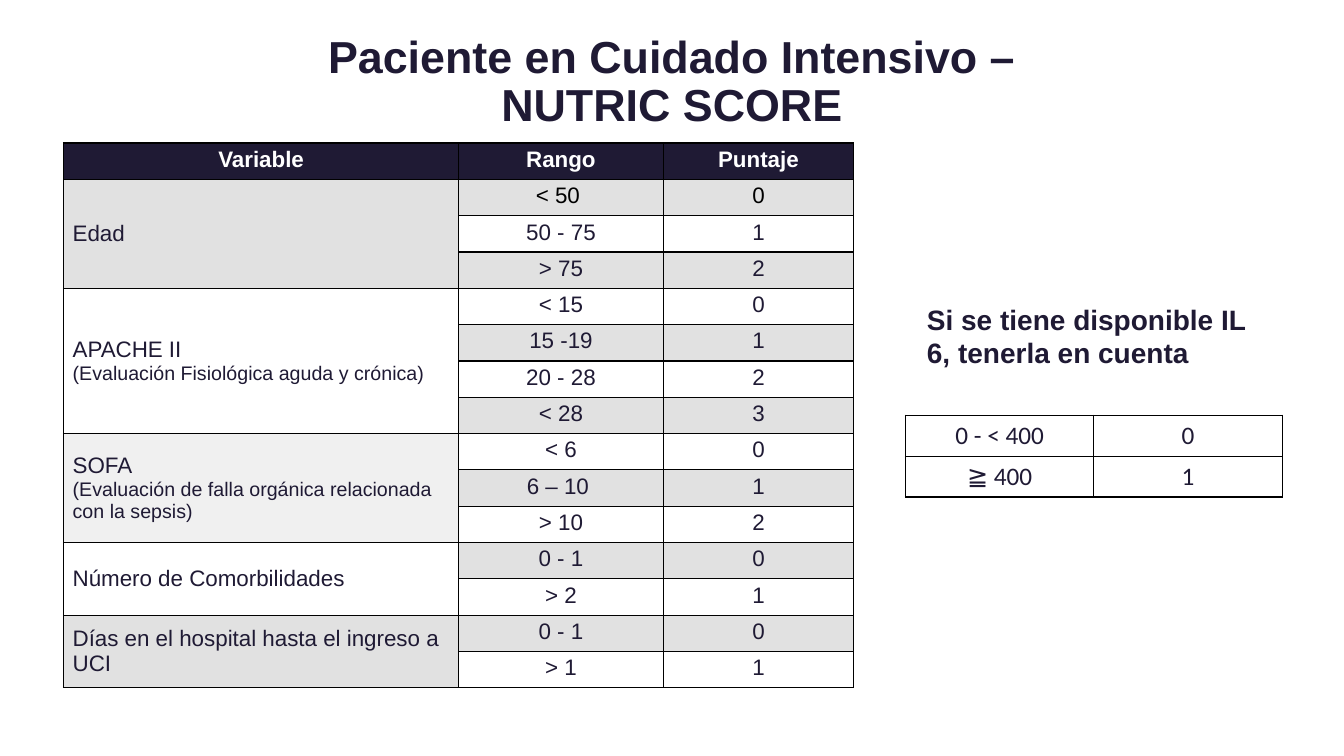
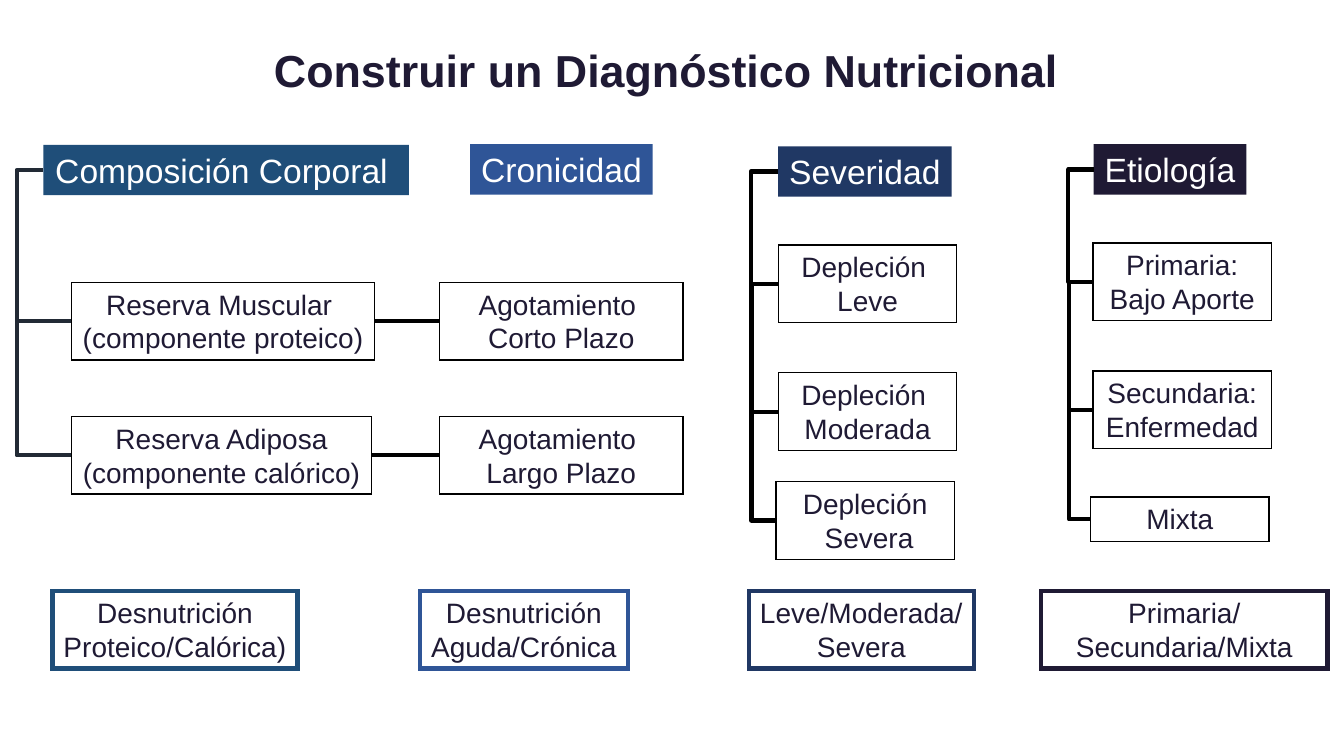
"""Build two slides on nutritional risk scoring and diagnosis."""
import pptx
import pptx.dml.color
import pptx.enum.shapes
import pptx.enum.text
import pptx.oxml
import pptx.oxml.ns
import pptx.util

Pt = pptx.util.Pt
qn = pptx.oxml.ns.qn
NAMESPACE = pptx.oxml.ns.nsdecls("a")
CONNECTOR = pptx.enum.shapes.MSO_CONNECTOR
CENTER = pptx.enum.text.PP_ALIGN.CENTER
LEFT = pptx.enum.text.PP_ALIGN.LEFT
MIDDLE = pptx.enum.text.MSO_ANCHOR.MIDDLE
TOP = pptx.enum.text.MSO_ANCHOR.TOP

NAVY, BLACK, WHITE = "1F1A34", "000000", "FFFFFF"
GREY, PALE, SLATE = "E1E1E1", "F0F0F0", "222A35"
TEAL, BLUE, INDIGO = "1F4E79", "2F5597", "203864"
LEFT_SIDE, RIGHT_SIDE = 1, 3

SCORE_GROUPS = [
    (["Edad"], GREY, [("< 50 ", "0"), ("50 - 75", "1"), ("> 75", "2")]),
    (["APACHE II", "(Evaluación Fisiológica aguda y crónica)"], WHITE,
     [("< 15", "0"), ("15 -19", "1"), ("20 - 28", "2"), ("< 28", "3")]),
    (["SOFA", "(Evaluación de falla orgánica relacionada con la sepsis)"], PALE,
     [("< 6", "0"), ("6 – 10 ", "1"), ("> 10", "2")]),
    (["Número de Comorbilidades"], WHITE, [("0 - 1", "0"), ("> 2", "1")]),
    (["Días en el hospital hasta el ingreso a UCI"], GREY,
     [("0 - 1", "0"), ("> 1", "1")]),
]
INTERLEUKIN_ROWS = [("0 - < 400", "0"), ("≧ 400", "1")]

HEADER_HEIGHT, NODE_HEIGHT, RESULT_TOP = 36, 55.5, 422
DIAGNOSIS = [
    {"header": ("Composición Corporal ", 31, 103.5, 261), "colour": TEAL,
     "trunk": (12, SLATE),
     "nodes": [(["Reserva Muscular ", "(componente proteico)"], 51, 201.75, 216.75),
               (["Reserva Adiposa", "(componente calórico)"], 51, 297.5, 214.5)],
     "result": (["Desnutrición", "Proteico/Calórica)"], 37.5, 175)},
    {"header": ("Cronicidad", 335.75, 103, 130.5), "colour": BLUE, "trunk": None,
     "nodes": [(["Agotamiento ", "Corto Plazo"], 314, 201.75, 174),
               (["Agotamiento ", "Largo Plazo"], 314, 297.5, 174)],
     "result": (["Desnutrición", "Aguda/Crónica"], 300, 148.5)},
    {"header": ("Severidad", 555.75, 104.5, 124), "colour": INDIGO,
     "trunk": (536.75, BLACK),
     "nodes": [(["Depleción ", "Leve"], 556, 175, 127.5),
               (["Depleción ", "Moderada"], 556, 266.25, 127.5),
               (["Depleción", " Severa"], 554.25, 344, 127.5)],
     "result": (["Leve/Moderada/", "Severa"], 535, 160.5)},
    {"header": ("Etiología", 781.25, 103, 109), "colour": NAVY,
     "trunk": (763.5, BLACK),
     "nodes": [(["Primaria: Bajo Aporte"], 780.75, 173.5, 127.5),
               (["Secundaria: Enfermedad"], 780.75, 265, 127.5),
               (["Mixta"], 779, 355, 127.5, 32)],
     "result": (["Primaria/Secundaria/Mixta"], 743.75, 204.5)},
]


def rgb(value):
    """Return the colour for a hex string."""
    return pptx.dml.color.RGBColor.from_string(value)


def add_run(paragraph, text, size, colour=NAVY, bold=False, font="Arial"):
    """Append one formatted run."""
    run = paragraph.add_run()
    run.text = text
    run.font.size = Pt(size)
    run.font.name = font
    run.font.bold = bold
    run.font.color.rgb = rgb(colour)


def write_lines(frame, lines, sizes, align=CENTER, **style):
    """Write one paragraph per line, with its own size."""
    for index, (text, size) in enumerate(zip(lines, sizes)):
        paragraph = frame.add_paragraph() if index else frame.paragraphs[0]
        paragraph.alignment = align
        add_run(paragraph, text, size, **style)


def add_title(slide, lines, left, top, width, height):
    """Add the centred slide title, with line breaks between its lines."""
    frame = slide.shapes.add_textbox(Pt(left), Pt(top), Pt(width), Pt(height)).text_frame
    frame.word_wrap = True
    frame.vertical_anchor = MIDDLE
    paragraph = frame.paragraphs[0]
    paragraph.alignment = CENTER
    paragraph.line_spacing = 0.9
    for index, text in enumerate(lines):
        if index:
            paragraph.add_line_break()
        add_run(paragraph, text, 32, bold=True)


def add_grid(slide, left, top, widths, row_height, row_count):
    """Add an unstyled table and return it."""
    table = slide.shapes.add_table(row_count, len(widths), Pt(left), Pt(top),
                                   Pt(sum(widths)), Pt(row_height * row_count)).table
    table.first_row = table.horz_banding = False
    for column, width in zip(table.columns, widths):
        column.width = Pt(width)
    for row in table.rows:
        row.height = Pt(row_height)
    return table


def style_cell(cell, fill, anchor=TOP, margins=(7.2, 3.6)):
    """Give a cell black borders, a fill, margins and an anchor."""
    properties = cell._tc.get_or_add_tcPr()
    for side in ("lnL", "lnR", "lnT", "lnB"):
        properties.append(pptx.oxml.parse_xml(
            f'<a:{side} {NAMESPACE} w="12700"><a:solidFill>'
            f'<a:srgbClr val="{BLACK}"/></a:solidFill></a:{side}>'))
    cell.fill.solid()
    cell.fill.fore_color.rgb = rgb(fill)
    cell.vertical_anchor = anchor
    cell.margin_left = cell.margin_right = Pt(margins[0])
    cell.margin_top = cell.margin_bottom = Pt(margins[1])


def add_score_table(slide):
    """Add the score table with one merged label per variable."""
    row_count = 1 + sum(len(ranges) for _, _, ranges in SCORE_GROUPS)
    table = add_grid(slide, 45.4, 102.2, (282.2, 146.2, 136), 25.95, row_count)
    margins = (6.5, 3)
    for column, text in enumerate(("Variable", "Rango", "Puntaje")):
        cell = table.cell(0, column)
        style_cell(cell, NAVY, margins=margins)
        write_lines(cell.text_frame, [text], [16], colour=WHITE, bold=True)
    row = 1
    for label, label_fill, ranges in SCORE_GROUPS:
        label_cell = table.cell(row, 0)
        label_cell.merge(table.cell(row + len(ranges) - 1, 0))
        write_lines(label_cell.text_frame, label, (16, 14), align=LEFT)
        for values in ranges:
            style_cell(table.cell(row, 0), label_fill, MIDDLE, margins)
            for column, text in enumerate(values, start=1):
                cell = table.cell(row, column)
                style_cell(cell, GREY if row % 2 else WHITE, margins=margins)
                write_lines(cell.text_frame, [text], [16],
                            colour=BLACK if row == 1 else NAVY)
            row += 1


def add_interleukin_table(slide):
    """Add the small table of interleukin scores."""
    table = add_grid(slide, 646.75, 296.6, (134.6, 134.6), 29.25, len(INTERLEUKIN_ROWS))
    for row, values in enumerate(INTERLEUKIN_ROWS):
        for column, text in enumerate(values):
            cell = table.cell(row, column)
            style_cell(cell, WHITE)
            write_lines(cell.text_frame, [text], [18], font="Calibri")


def add_box(slide, lines, left, top, width, height=NODE_HEIGHT, fill=WHITE,
            border=BLACK, border_width=1, size=20, colour=NAVY, wrap=None):
    """Add a labelled rectangle; a single line wraps unless told otherwise."""
    box = slide.shapes.add_shape(pptx.enum.shapes.MSO_SHAPE.RECTANGLE,
                                 Pt(left), Pt(top), Pt(width), Pt(height))
    box.shadow.inherit = False
    box.fill.solid()
    box.fill.fore_color.rgb = rgb(fill)
    if border:
        box.line.color.rgb = rgb(border)
        box.line.width = Pt(border_width)
        box._element.spPr.find(qn("a:ln")).append(
            pptx.oxml.parse_xml(f'<a:miter {NAMESPACE} lim="800000"/>'))
    else:
        box.line.fill.background()
    frame = box.text_frame
    frame.word_wrap = len(lines) == 1 if wrap is None else wrap
    frame.vertical_anchor = TOP
    write_lines(frame, lines, [size] * len(lines), colour=colour)
    return box


def add_link(slide, kind, start, end, colour=BLACK):
    """Add a thick connector between two points."""
    link = slide.shapes.add_connector(kind, *start, *end)
    link.line.color.rgb = rgb(colour)
    link.line.width = Pt(3)
    link._element.spPr.append(pptx.oxml.parse_xml(f'<a:effectLst {NAMESPACE}/>'))
    return link


def add_header_elbow(slide, trunk, start, end, colour):
    """Link a header to its first node by way of the trunk."""
    (x1, y1), (x2, y2) = start, end
    link = add_link(slide, CONNECTOR.ELBOW, (min(x1, x2), y1), (max(x1, x2), y2), colour)
    frame = link._element.spPr.find(qn("a:xfrm"))
    frame.set("rot", "10800000")
    frame.set("flipV", "1")
    if x2 > x1:
        frame.set("flipH", "1")
    bend = round((trunk - x1) / (x2 - x1) * 100000)
    link._element.spPr.find(qn("a:prstGeom")).find(qn("a:avLst")).append(
        pptx.oxml.parse_xml(f'<a:gd {NAMESPACE} name="adj1" fmla="val {bend}"/>'))


def add_corner_elbow(slide, start, end, colour):
    """Link a point on the trunk down and across to the next node."""
    (x1, y1), (x2, y2) = start, end
    drop, reach = y2 - y1, x2 - x1
    left, top = (x1 + x2 - drop) // 2, (y1 + y2 - reach) // 2
    link = add_link(slide, CONNECTOR.ELBOW, (left, top), (left + drop, top + reach), colour)
    frame = link._element.spPr.find(qn("a:xfrm"))
    frame.set("rot", "16200000")
    frame.set("flipH", "1")
    link._element.spPr.find(qn("a:prstGeom")).set("prst", "bentConnector2")


def add_bracket(slide, trunk, colour, boxes):
    """Chain the left sides of stacked boxes along one vertical trunk."""
    ends = [(box.left, box.top + box.height // 2) for box in boxes]
    add_header_elbow(slide, Pt(trunk), ends[0], ends[1], colour)
    for above, below in zip(ends[1:], ends[2:]):
        add_corner_elbow(slide, (Pt(trunk), above[1]), below, colour)


def add_diagnosis_column(slide, column):
    """Add a header, its nodes, its bracket and its result; return the nodes."""
    text, left, top, width = column["header"]
    header = add_box(slide, [text], left, top, width, HEADER_HEIGHT,
                     fill=column["colour"], border=None, size=24, colour=WHITE, wrap=False)
    nodes = [add_box(slide, *node) for node in column["nodes"]]
    if column["trunk"]:
        add_bracket(slide, *column["trunk"], [header, *nodes])
    lines, left, width = column["result"]
    add_box(slide, lines, left, RESULT_TOP, width, border=column["colour"], border_width=3)
    return nodes


def build_score_slide(slide):
    """Fill the slide of the score table."""
    add_title(slide, ["Paciente en Cuidado Intensivo –", "NUTRIC SCORE"], 0, 21, 960, 76.5)
    add_score_table(slide)
    note = slide.shapes.add_textbox(Pt(655), Pt(212.25), Pt(253), Pt(55.5)).text_frame
    note.word_wrap = True
    write_lines(note, ["Si se tiene disponible IL 6, tenerla en cuenta"], [20],
                align=LEFT, bold=True)
    add_interleukin_table(slide)


def build_diagnosis_slide(slide):
    """Fill the slide of the diagnosis diagram."""
    add_title(slide, ["Construir un Diagnóstico Nutricional "], 178.5, 21, 604, 62.5)
    reserves, depletions, *_ = [add_diagnosis_column(slide, column) for column in DIAGNOSIS]
    for reserve, depletion in zip(reserves, depletions):
        link = add_link(slide, CONNECTOR.STRAIGHT, (0, 0), (0, 0))
        link.begin_connect(reserve, RIGHT_SIDE)
        link.end_connect(depletion, LEFT_SIDE)


def main():
    """Build and save the presentation."""
    deck = pptx.Presentation()
    deck.slide_width, deck.slide_height = Pt(960), Pt(540)
    for build in (build_score_slide, build_diagnosis_slide):
        build(deck.slides.add_slide(deck.slide_layouts[6]))
    deck.save("out.pptx")


if __name__ == "__main__":
    main()
